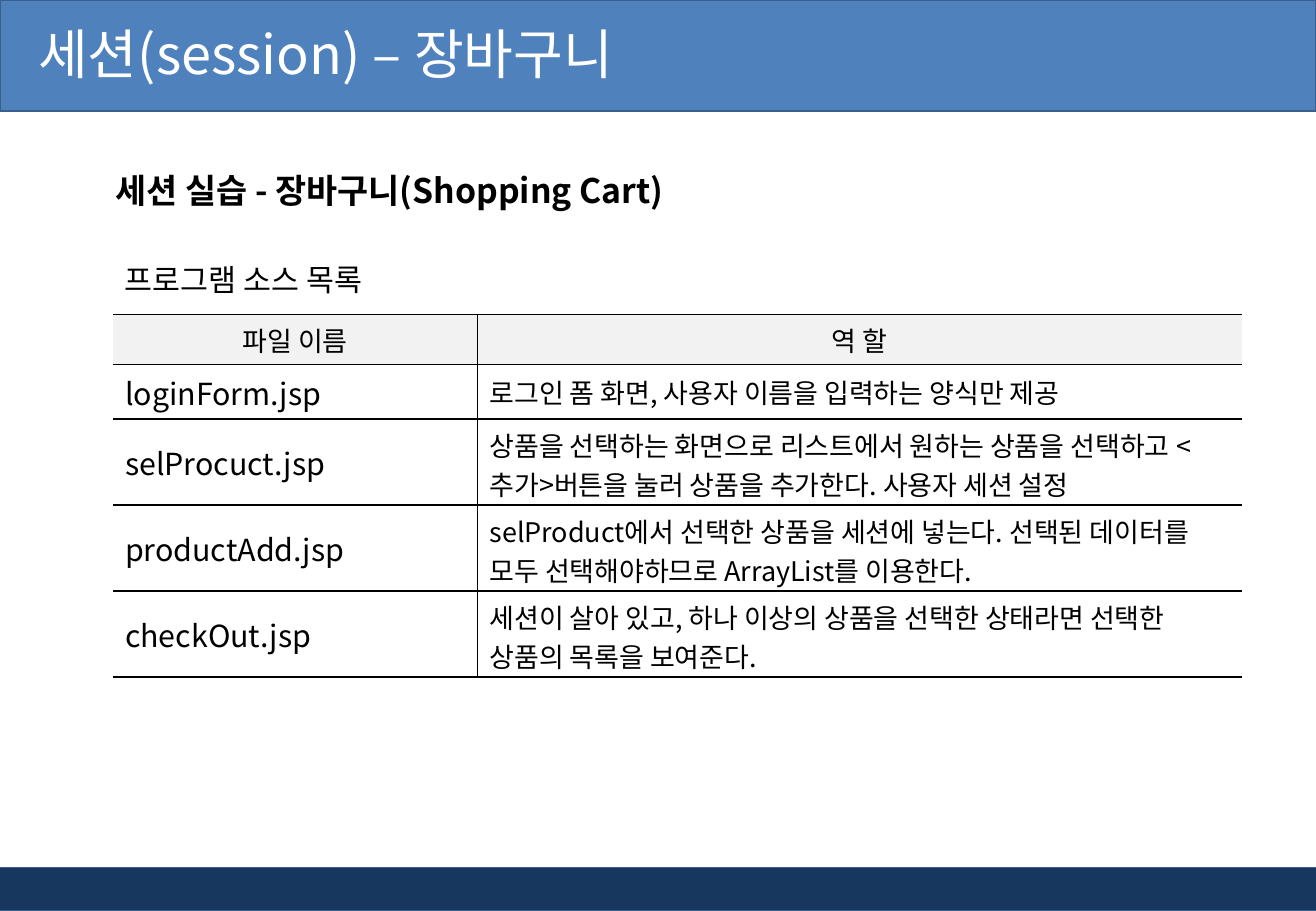
import pptx
import pptx.dml.color
import pptx.enum.shapes
import pptx.enum.text
import pptx.util
from lxml import etree
from pptx.enum.text import MSO_ANCHOR, PP_ALIGN
from pptx.oxml.ns import qn
from pptx.util import Cm

SLIDE_WIDTH, SLIDE_HEIGHT = 27.51, 19.05


def color(value):
    return pptx.dml.color.RGBColor.from_string(value)


class SlideBuilder:
    font_name = "Noto Sans CJK KR"
    black = "000000"
    white = "FFFFFF"
    bar_line = "3A5F8C"
    head_fill = "F2F2F2"

    def __init__(self, slide):
        self.slide = slide

    def set_text(self, frame, text, size, text_color=black, bold=False,
                 align=PP_ALIGN.LEFT, spacing=1.0):
        frame.text = text
        frame.word_wrap = True
        paragraph = frame.paragraphs[0]
        paragraph.alignment = align
        paragraph.line_spacing = spacing
        font = paragraph.font
        font.name = self.font_name
        font.size = pptx.util.Pt(size)
        font.bold = bold
        font.color.rgb = color(text_color)
        # East Asian typeface for the Korean letters
        latin = paragraph._p.pPr.find(qn("a:defRPr")).find(qn("a:latin"))
        east_asian = etree.Element(qn("a:ea"), typeface=self.font_name)
        latin.addnext(east_asian)

    def bar(self, left, top, width, height, fill):
        bar = self.slide.shapes.add_shape(
            pptx.enum.shapes.MSO_SHAPE.RECTANGLE,
            Cm(left), Cm(top), Cm(width), Cm(height))
        bar.shadow.inherit = False
        bar.fill.solid()
        bar.fill.fore_color.rgb = color(fill)
        bar.line.color.rgb = color(self.bar_line)
        bar.line.width = pptx.util.Pt(1)

    def title(self, text, left, top, width, height, indent):
        title = self.slide.shapes.title
        title.left, title.top = Cm(left), Cm(top)
        title.width, title.height = Cm(width), Cm(height)
        frame = title.text_frame
        self.set_text(frame, text, 32, self.white)
        frame.auto_size = pptx.enum.text.MSO_AUTO_SIZE.NONE
        frame.vertical_anchor = MSO_ANCHOR.MIDDLE
        frame.margin_left = Cm(indent)
        # Bring the title in front of the header bar
        title._element.getparent().append(title._element)

    def text(self, text, left, top, width, height, size, **style):
        box = self.slide.shapes.add_textbox(
            Cm(left), Cm(top), Cm(width), Cm(height))
        self.set_text(box.text_frame, text, size, **style)

    def borders(self, cell, visible):
        properties = cell._tc.get_or_add_tcPr()
        for side in "LRTB":
            line = etree.SubElement(properties, qn(f"a:ln{side}"), w="12700")
            if side in visible:
                fill = etree.SubElement(line, qn("a:solidFill"))
                etree.SubElement(fill, qn("a:srgbClr"), val=self.black)
            else:
                etree.SubElement(line, qn("a:noFill"))

    def table(self, rows, left, top, widths, heights):
        table = self.slide.shapes.add_table(
            len(rows), len(widths), Cm(left), Cm(top),
            Cm(sum(widths)), Cm(sum(heights))).table
        table.first_row = table.horz_banding = False
        for column, width in zip(table.columns, widths):
            column.width = Cm(width)
        for row, height in zip(table.rows, heights):
            row.height = Cm(height)
        for r, row in enumerate(rows):
            for c, text in enumerate(row):
                cell = table.cell(r, c)
                is_head = r == 0
                self.set_text(
                    cell.text_frame, text,
                    18 if c == 0 and not is_head else 16,
                    align=PP_ALIGN.CENTER if is_head else PP_ALIGN.LEFT)
                cell.vertical_anchor = MSO_ANCHOR.MIDDLE
                self.borders(cell, "RTB" if c == 0 else "LTB")
                if is_head:
                    cell.fill.solid()
                    cell.fill.fore_color.rgb = color(self.head_fill)
                else:
                    cell.fill.background()


def main():
    deck = pptx.Presentation()
    deck.slide_width, deck.slide_height = Cm(SLIDE_WIDTH), Cm(SLIDE_HEIGHT)
    builder = SlideBuilder(deck.slides.add_slide(deck.slide_layouts[5]))

    # Footer and header bars with the title
    builder.bar(-0.1, 18.14, 27.63, 0.91, "17375E")
    builder.bar(0, 0, SLIDE_WIDTH, 2.33, "4F81BD")
    builder.title("세션(session) – 장바구니", 0, -0.08, 22.2, 2.39, indent=0.8)

    # Section heading and list label
    builder.text("세션 실습 - 장바구니(Shopping Cart)", 2.16, 3, 16.2, 1.55, 20,
                 bold=True, spacing=1.5)
    builder.text("프로그램 소스 목록", 2.36, 5.33, 6.2, 1.02, 18)

    # Source files and their roles
    source_files = [
        ("파일 이름", "역 할"),
        ("loginForm.jsp", "로그인 폼 화면, 사용자 이름을 입력하는 양식만 제공"),
        ("selProcuct.jsp", "상품을 선택하는 화면으로 리스트에서 원하는 상품을 선택하고 "
                           "<추가>버튼을 눌러 상품을 추가한다. 사용자 세션 설정"),
        ("productAdd.jsp", "selProduct에서 선택한 상품을 세션에 넣는다. 선택된 데이터를 "
                           "모두 선택해야하므로 ArrayList를 이용한다."),
        ("checkOut.jsp", "세션이 살아 있고, 하나 이상의 상품을 선택한 상태라면 선택한 "
                         "상품의 목록을 보여준다."),
    ]
    builder.table(source_files, 2.36, 6.58, widths=[7.62, 15.98],
                  heights=[1.04, 1.14, 1.8, 1.8, 1.8])

    deck.save("out.pptx")


if __name__ == "__main__":
    main()
